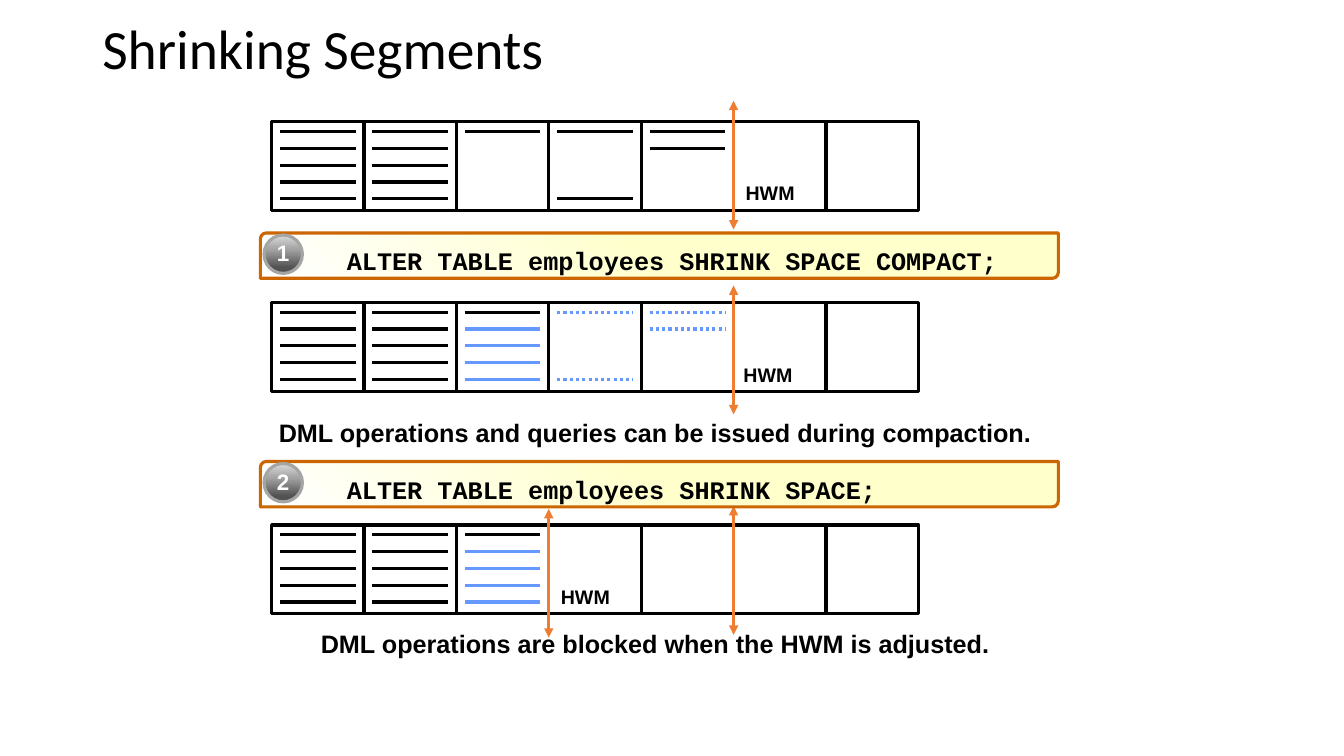
from pptx import Presentation
from pptx.dml.color import RGBColor
from pptx.enum.dml import MSO_LINE
from pptx.enum.shapes import MSO_CONNECTOR, MSO_SHAPE
from pptx.enum.text import MSO_ANCHOR, PP_ALIGN
from pptx.oxml import parse_xml
from pptx.oxml.ns import nsdecls, qn
from pptx.util import Pt

STRAIGHT = MSO_CONNECTOR.STRAIGHT
RECT, OVAL, BANNER = MSO_SHAPE.RECTANGLE, MSO_SHAPE.OVAL, MSO_SHAPE.ROUND_2_DIAG_RECTANGLE
TOP, MIDDLE, BOTTOM = MSO_ANCHOR.TOP, MSO_ANCHOR.MIDDLE, MSO_ANCHOR.BOTTOM
LEFT, CENTER = PP_ALIGN.LEFT, PP_ALIGN.CENTER
DOTTED = MSO_LINE.ROUND_DOT

C = {"black": "000000", "white": "FFFFFF", "row": "6699FF", "hwm": "ED7D31",
     "cream": "FFFFCC", "edge": "CC6600", "light": "DBDBDB", "gray": "A5A5A5",
     "dark": "525252"}
LINE_W = 2.25
CELL_W, CELL_H = 66, 63.5
ROW_X, ROW_Y, ROW_W, ROW_STEP = 6, 7, 54, 12
ARROW_H = 92

# One code per data block, one letter per row: k kept, m moved, f freed, . empty
ROW_STYLES = {"k": ("black", None), "m": ("row", None), "f": ("row", DOTTED)}
FULL, NONE = "kkkkk", "....."
BEFORE = [FULL, FULL, "k....", "k...k", "kk...", NONE, NONE]
COMPACTED = [FULL, FULL, "kmmmm", "f...f", "ff...", NONE, NONE]
SHRUNK = [FULL, FULL, "kmmmm", NONE, NONE, NONE, NONE]


def rgb(name):
    """Return the named colour."""
    return RGBColor.from_string(C[name])


def write(s, text, size=18, font="Arial", color="black", bold=True, align=LEFT,
          anchor=TOP, insets=(7.2, 3.6, 7.2, 3.6), wrap=True, spacing=None):
    """Put one formatted paragraph into a shape."""
    tf = s.text_frame
    tf.word_wrap = wrap
    tf.vertical_anchor = anchor
    tf.margin_left, tf.margin_top, tf.margin_right, tf.margin_bottom = map(Pt, insets)
    p = tf.paragraphs[0]
    p.alignment = align
    if spacing:
        p.line_spacing = spacing
    r = p.add_run()
    r.text = text
    r.font.name, r.font.size, r.font.bold = font, Pt(size), bold
    r.font.color.rgb = rgb(color)


def text_box(slide, box, text, **fmt):
    """Add a text box."""
    write(slide.shapes.add_textbox(*map(Pt, box)), text, **fmt)


def shape(slide, kind, box, line):
    """Add an unfilled outlined shape."""
    s = slide.shapes.add_shape(kind, *map(Pt, box))
    s.shadow.inherit = False
    s.fill.background()
    s.line.color.rgb = rgb(line)
    s.line.width = Pt(LINE_W)
    return s


def gradient(s, stops, angle):
    """Replace the empty fill with a linear gradient, angle clockwise."""
    gs = "".join(f'<a:gs pos="{pos * 1000}"><a:srgbClr val="{C[c]}"/></a:gs>'
                 for pos, c in stops)
    fill = parse_xml(f'<a:gradFill {nsdecls("a")} rotWithShape="1"><a:gsLst>{gs}</a:gsLst>'
                     f'<a:lin ang="{angle * 60000}" scaled="0"/></a:gradFill>')
    spPr = s._element.spPr
    spPr.replace(spPr.find(qn("a:noFill")), fill)


def line(slide, x1, y1, x2, y2, color, dash=None, arrows=False):
    """Add a straight line, with arrowheads at both ends if asked."""
    s = slide.shapes.add_connector(STRAIGHT, *map(Pt, (x1, y1, x2, y2)))
    s.line.color.rgb = rgb(color)
    s.line.width = Pt(LINE_W)
    if dash:
        s.line.dash_style = dash
    if arrows:
        ln = s.line._get_or_add_ln()
        for tag in ("headEnd", "tailEnd"):
            ln.append(parse_xml(f'<a:{tag} {nsdecls("a")} type="triangle"/>'))
    s._element.spPr.append(parse_xml(f'<a:effectLst {nsdecls("a")}/>'))


def segment(slide, x, y, blocks, arrows, label):
    """Draw a row of blocks, its (block, rise) arrows and the HWM label."""
    for i, rows in enumerate(blocks):
        left = x + i * CELL_W
        shape(slide, RECT, (left, y, CELL_W, CELL_H), "black")
        for j, code in enumerate(rows):
            if code in ROW_STYLES:
                row_x, row_y = left + ROW_X, y + ROW_Y + j * ROW_STEP
                line(slide, row_x, row_y, row_x + ROW_W, row_y, *ROW_STYLES[code])
    for block, rise in arrows:
        mark = x + block * CELL_W
        line(slide, mark, y - rise + ARROW_H, mark, y - rise, "hwm", arrows=True)
    dx, dy = label
    text_box(slide, (x + arrows[0][0] * CELL_W + dx, y + dy, 50, 24), "HWM",
             size=14, wrap=False)


def statement(slide, x, y, number, sql):
    """Draw a numbered banner with an SQL statement."""
    s = shape(slide, BANNER, (x, y, 570, 32.4), "edge")
    s.adjustments[0], s.adjustments[1] = 0.13, 0
    gradient(s, [(0, "cream"), (50, "cream"), (100, "white")], 135)
    write(s, sql, font="Courier New", anchor=BOTTOM, insets=(60.5, 7.2, 0.7, 0.7))
    s = shape(slide, OVAL, (x + 2.6, y + 1.5, 27.4, 27.4), "gray")
    gradient(s, [(0, "light"), (36, "gray"), (85, "dark")], 90)
    write(s, number, size=16, color="white", align=CENTER, anchor=MIDDLE,
          insets=(3.6,) * 4, wrap=False, spacing=0.95)


def main():
    """Build the slide and save it."""
    prs = Presentation()
    prs.slide_width, prs.slide_height = Pt(960), Pt(540)
    slide = prs.slides.add_slide(prs.slide_layouts[6])
    text_box(slide, (66, 12.2, 828, 51), "Shrinking Segments", size=39.6,
             font="Calibri", bold=False, spacing=0.9)
    segment(slide, 194, 87, BEFORE, [(5, 15)], (1.5, 39))
    segment(slide, 194, 216, COMPACTED, [(5, 12)], (0, 39.5))
    segment(slide, 194, 375, SHRUNK, [(3, 11.5), (5, 13.5)], (1.5, 39))
    for y, text in ((294.5, "DML operations and queries can be issued during compaction."),
                    (445, "DML operations are blocked when the HWM is adjusted.")):
        text_box(slide, (168, y, 600, 29), text, align=CENTER)
    statement(slide, 186, 166.4, "1", "ALTER TABLE employees SHRINK SPACE COMPACT;")
    statement(slide, 186, 329.6, "2", "ALTER TABLE employees SHRINK SPACE;")
    prs.save("out.pptx")


main()
